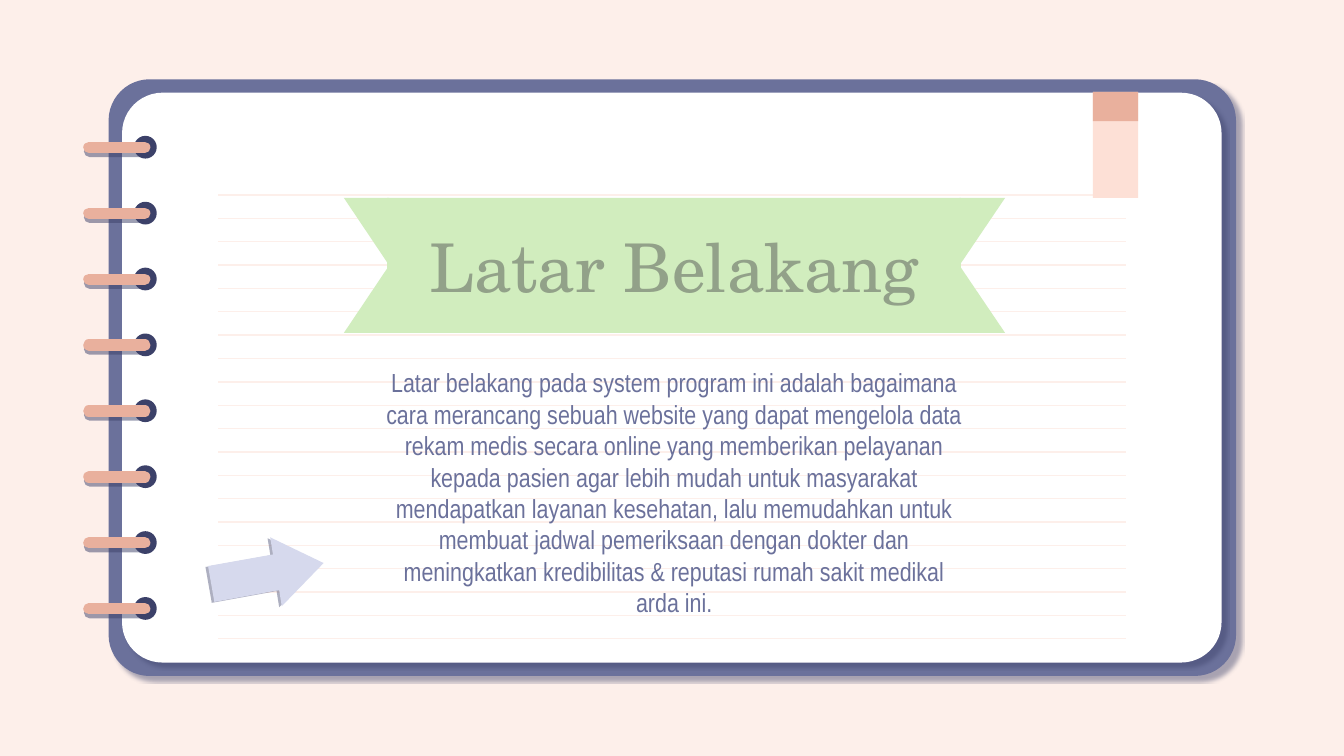
"""Build the "Latar Belakang" notebook slide."""
from dataclasses import dataclass

from lxml import etree
from pptx import Presentation
from pptx import util as u
from pptx.dml.color import RGBColor
from pptx.enum import shapes, text
from pptx.oxml import ns


@dataclass(frozen=True)
class Theme:
    """Colours, fonts, type sizes and shadows of the slide."""
    paper: str = "FDEFEA"
    page: str = "FFFFFF"
    cover: str = "6B719B"
    ink: str = "3C4169"
    coral: str = "E9B09D"
    blush: str = "FDE0D6"
    green: str = "D1EDBE"
    sage: str = "92A189"
    lilac: str = "D6D9ED"
    title_font: str = "TeX Gyre Schola"
    body_font: str = "Arial Narrow"
    title_size: int = 36
    body_size: int = 14
    book_shadow: tuple = (44, 1.1, 4.5, 44)
    ring_shadow: tuple = (50, 0, 2.2, 80)
    arrow_shadow: tuple = (42, 0, 1.5, 160)


THEME = Theme()
BODY = (
    "Latar belakang pada system program ini adalah bagaimana cara merancang "
    "sebuah website yang dapat mengelola data rekam medis secara online yang "
    "memberikan pelayanan kepada pasien agar lebih mudah untuk masyarakat "
    "mendapatkan layanan kesehatan, lalu memudahkan untuk membuat jadwal "
    "pemeriksaan dengan dokter dan meningkatkan kredibilitas & reputasi rumah "
    "sakit medikal arda ini."
)


def rgb(value):
    """Turn a hex string into a colour."""
    return RGBColor.from_string(value)


def set_effects(item, shadow=None):
    """Give an item its own effects: none, or one outer shadow."""
    effects = etree.SubElement(item._element.spPr, ns.qn("a:effectLst"))
    if shadow:
        opacity, blur, distance, angle = shadow
        outer = etree.SubElement(
            effects, ns.qn("a:outerShdw"), blurRad=str(u.Pt(blur)),
            dist=str(u.Pt(distance)), dir=str(angle * 60000),
            algn="bl", rotWithShape="0")
        colour = etree.SubElement(outer, ns.qn("a:srgbClr"), val=THEME.ink)
        etree.SubElement(colour, ns.qn("a:alpha"), val=str(opacity * 1000))


def paint(item, colour, shadow=None):
    """Fill an item without an outline."""
    item.fill.solid()
    item.fill.fore_color.rgb = rgb(colour)
    item.line.fill.background()
    set_effects(item, shadow)


def add_preset(slide, kind, box, colour, shadow=None, corner=None):
    """Add a filled preset shape."""
    preset = slide.shapes.add_shape(kind, *map(u.Pt, box))
    if corner is not None:
        preset.adjustments[0] = corner
    paint(preset, colour, shadow)


def add_outline(slide, points, colour, shadow=None):
    """Add a filled polygon through the points."""
    start, *rest = [(u.Pt(x), u.Pt(y)) for x, y in points]
    builder = slide.shapes.build_freeform(*start)
    builder.add_line_segments(rest, close=True)
    paint(builder.convert_to_shape(), colour, shadow)


def add_level_line(slide, left, right, y, colour, width, shadow=None, cap="flat"):
    """Add a horizontal line."""
    rule = slide.shapes.add_connector(
        shapes.MSO_CONNECTOR.STRAIGHT, *map(u.Pt, (left, y, right, y)))
    rule.line.color.rgb = rgb(colour)
    rule.line.width = u.Pt(width)
    rule.line._get_or_add_ln().set("cap", cap)
    set_effects(rule, shadow)


def write(holder, box, words, font, size, colour):
    """Place a text holder and fill it with centred text."""
    for name, length in zip(("left", "top", "width", "height"), box):
        setattr(holder, name, u.Pt(length))
    frame = holder.text_frame
    frame.text = words
    frame_format = {
        "word_wrap": True, "auto_size": text.MSO_AUTO_SIZE.NONE,
        "vertical_anchor": text.MSO_ANCHOR.MIDDLE,
        **{f"margin_{side}": u.Pt(7.2) for side in ("left", "top", "right", "bottom")},
    }
    paragraph = frame.paragraphs[0]
    paragraph.alignment = text.PP_ALIGN.CENTER
    run_font = paragraph.runs[0].font
    font_format = {"name": font, "size": u.Pt(size), "bold": False}
    for target, values in ((frame, frame_format), (run_font, font_format)):
        for name, value in values.items():
            setattr(target, name, value)
    run_font.color.rgb = rgb(colour)


def add_notebook(slide):
    """Draw the cover, the page, its ruled lines and the rings."""
    rounded = shapes.MSO_SHAPE.ROUNDED_RECTANGLE
    add_preset(slide, rounded, (58.2, 42.5, 604, 319.7), THEME.cover,
               THEME.book_shadow, 0.069)
    add_preset(slide, rounded, (65.4, 49.7, 589, 305.3), THEME.page,
               THEME.book_shadow, 0.071)
    for row in range(20):
        add_level_line(slide, 116.8, 603.2, 104.5 + 12.51 * row, THEME.paper, 0.75)
    for ring in range(8):
        y = 79 + 35.3 * ring
        add_preset(slide, shapes.MSO_SHAPE.OVAL, (71.8, y - 6.2, 12.2, 12.2), THEME.ink)
        add_level_line(slide, 47.6, 77.6, y, THEME.coral, 6, THEME.ring_shadow, "rnd")


def add_ribbon_tails(slide):
    """Draw the notched ends of the title ribbon."""
    for inner, outer in ((514, 538.5), (208.5, 184.2)):
        for edge in (106, 178.4):
            add_outline(slide, [(inner, 142.2), (outer, edge), (inner, edge)], THEME.green)


def add_bookmark(slide):
    """Draw the two-tone bookmark."""
    for height, colour in ((56.8, THEME.blush), (15.7, THEME.coral)):
        add_preset(slide, shapes.MSO_SHAPE.RECTANGLE, (585.5, 49.2, 24.3, height), colour)


def add_arrow(slide):
    """Draw the tilted block arrow."""
    points = [(173.4, 301.7), (144.8, 287.9), (146.3, 297.1), (111.5, 303.3),
              (114.9, 322.5), (149.6, 316.2), (151, 324.8)]
    add_outline(slide, points, THEME.lilac, THEME.arrow_shadow)


def main():
    """Build and save the slide."""
    deck = Presentation()
    deck.slide_width, deck.slide_height = u.Pt(720), u.Pt(405)
    slide = deck.slides.add_slide(deck.slide_layouts[5])
    slide.background.fill.solid()
    slide.background.fill.fore_color.rgb = rgb(THEME.paper)
    add_notebook(slide)

    title = slide.shapes.title
    write(title, (207.4, 106, 307.4, 72.4), "Latar Belakang",
          THEME.title_font, THEME.title_size, THEME.sage)
    title.fill.solid()
    title.fill.fore_color.rgb = rgb(THEME.green)
    slide.shapes._spTree.append(title._element)

    background_text = slide.shapes.add_textbox(0, 0, 0, 0)
    write(background_text, (196.4, 202.6, 329.6, 122.4), BODY,
          THEME.body_font, THEME.body_size, THEME.cover)
    add_ribbon_tails(slide)
    add_arrow(slide)
    add_bookmark(slide)
    deck.save("out.pptx")


if __name__ == "__main__":
    main()
